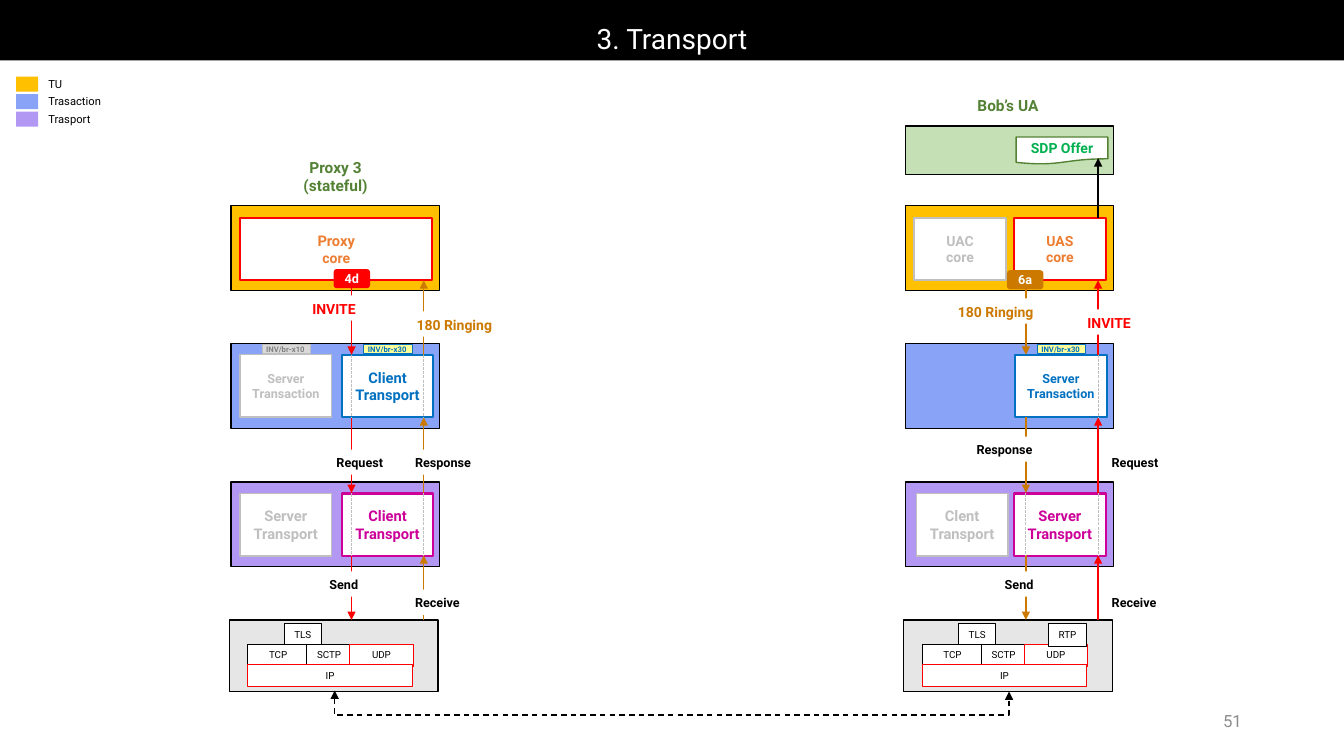
from lxml import etree
from pptx import Presentation
from pptx.dml.color import RGBColor
from pptx.enum.dml import MSO_LINE
from pptx.enum.shapes import MSO_CONNECTOR, MSO_SHAPE
from pptx.enum.text import MSO_ANCHOR, PP_ALIGN
from pptx.oxml.ns import qn
from pptx.util import Pt

RECTANGLE, ROUNDED = MSO_SHAPE.RECTANGLE, MSO_SHAPE.ROUNDED_RECTANGLE
DOCUMENT = MSO_SHAPE.FLOWCHART_DOCUMENT
STRAIGHT, ELBOW = MSO_CONNECTOR.STRAIGHT, MSO_CONNECTOR.ELBOW
DASH, DOTS = MSO_LINE.DASH, MSO_LINE.SQUARE_DOT
TOP, MIDDLE, BOTTOM = MSO_ANCHOR.TOP, MSO_ANCHOR.MIDDLE, MSO_ANCHOR.BOTTOM
LEFT, CENTER, RIGHT, JUSTIFY = PP_ALIGN.LEFT, PP_ALIGN.CENTER, PP_ALIGN.RIGHT, PP_ALIGN.JUSTIFY

FONT = "Roboto"
COLORS = {
    "black": "000000", "white": "FFFFFF", "number": "8C8C8C", "muted": "BFBFBF",
    "tu": "FFC000", "transaction": "89A3F7", "transport": "B298F2", "network": "E7E6E6",
    "app": "C5E0B4", "green": "548235", "offer": "00B050", "red": "FF0000",
    "brown": "CC7900", "orange": "ED7D31", "blue": "0070C0", "magenta": "CC0099",
    "yellow": "FFFF99", "tag": "D9D9D9", "tag text": "808080",
}

# Left edges of the two stacks and the rows they share
PROXY, BOB = 164.9, 646.6
PANEL_TOP, PANEL_STEP, PANEL_WIDTH = 146.9, 98.65, 149
BOX_WIDTH, BOX_HEIGHT = 65.5, 44.6
BOX_TOPS = {"tu": 155.5, "transaction": 253.4, "transport": 352.5}
GAPS = [(200.2, 253.4), (298.1, 352.1), (396.7, 442.8)]
DOWN, UP = 86.2, 137.8


def rgb(color):
    return RGBColor.from_string(COLORS[color])


def write(shape, lines, size, color, bold=False, align=CENTER, anchor=MIDDLE, wrap=True):
    frame = shape.text_frame
    frame.text = lines
    frame.word_wrap = wrap
    frame.vertical_anchor = anchor
    for paragraph in frame.paragraphs:
        paragraph.alignment = align
        font = paragraph.font
        font.name, font.size, font.bold = FONT, Pt(size), bold
        font.color.rgb = rgb(color)


def add_box(slide, x, y, width, height, fill, line=None, weight=1, kind=RECTANGLE):
    shape = slide.shapes.add_shape(kind, Pt(x), Pt(y), Pt(width), Pt(height))
    shape.shadow.inherit = False
    shape.fill.solid()
    shape.fill.fore_color.rgb = rgb(fill)
    if line:
        shape.line.color.rgb = rgb(line)
        shape.line.width = Pt(weight)
    else:
        shape.line.fill.background()
    return shape


def add_text(slide, x, y, width, height, lines, size, color, **style):
    write(slide.shapes.add_textbox(Pt(x), Pt(y), Pt(width), Pt(height)), lines, size, color, **style)


def add_core(slide, x, row, lines, color, line, size=10.5, width=BOX_WIDTH, weight=1.5):
    box = add_box(slide, x, BOX_TOPS[row], width, BOX_HEIGHT, "white", line, weight)
    write(box, lines, size, color, bold=True)
    return box


def add_label(slide, x, y, width, text, color="black", size=9, align=LEFT):
    label = add_box(slide, x, y, width, 18, "white")
    write(label, text, size, color, bold=True, align=align, anchor=TOP, wrap=False)


def add_tag(slide, x, text, fill, line, color):
    tag = add_box(slide, x, 246.2, 34.6, 6.5, fill, line, 0.75)
    write(tag, text, 5.5, color, bold=True, align=JUSTIFY)
    frame = tag.text_frame
    frame.margin_left = frame.margin_right = Pt(2.88)
    frame.margin_top = frame.margin_bottom = 0


def add_badge(slide, x, y, text, fill):
    write(add_box(slide, x, y, 26, 13.7, fill, kind=ROUNDED), text, 9, "white", bold=True, wrap=False)


def add_line(slide, x1, y1, x2, y2, color, weight=1, dash=None, ends=(), kind=STRAIGHT):
    connector = slide.shapes.add_connector(kind, Pt(x1), Pt(y1), Pt(x2), Pt(y2))
    connector.line.color.rgb = rgb(color)
    connector.line.width = Pt(weight)
    if dash:
        connector.line.dash_style = dash
    properties = connector._element.spPr
    outline = properties.find(qn("a:ln"))
    for end in ends:
        etree.SubElement(outline, qn(f"a:{end}"), type="triangle")
    etree.SubElement(properties, qn("a:effectLst"))
    return connector


def add_network_link(slide, x1, x2, y, drop):
    # A thin elbow turned by 270 degrees, so that it leaves both ends downwards
    thickness, center, half = 0.72, (x1 + x2) / 2, (x2 - x1) / 2
    link = add_line(slide, center + thickness / 2, y - half, center - thickness / 2, y + half,
                    "black", dash=DASH, ends=("headEnd", "tailEnd"), kind=ELBOW)
    properties = link._element.spPr
    properties.find(qn("a:xfrm")).set("rot", str(270 * 60000))
    guides = properties.find(qn("a:prstGeom")).find(qn("a:avLst"))
    etree.SubElement(guides, qn("a:gd"), name="adj1", fmla=f"val {round(drop / thickness * 100000)}")


def add_panels(slide, x):
    for row, layer in enumerate(("tu", "transaction", "transport")):
        add_box(slide, x, PANEL_TOP + row * PANEL_STEP, PANEL_WIDTH, 60.5, layer, "black")
    add_box(slide, x - 1.1, PANEL_TOP + 3 * PANEL_STEP, PANEL_WIDTH, 51.1, "network", "black")


def add_protocols(slide, x, extra=()):
    protocols = [("TLS", 38.1, 0, 26.6, "black"), ("TCP", 12.2, 1, 43.2, "black"),
                 ("SCTP", 54.4, 1, 31.7, "black"), ("UDP", 84.9, 1, 45.4, "red"),
                 ("IP", 12.2, 2, 117.4, "red"), *extra]
    for name, offset, row, width, line in protocols:
        box = add_box(slide, x + offset, 445.7 + 14.4 * row, width, 15.8, "white", line, 0.75)
        write(box, name, 7, "black", anchor=TOP, wrap=False)


def add_flows(slide, x, down, up, crossed):
    for top, bottom in GAPS:
        add_line(slide, x + DOWN, bottom, x + DOWN, top, down, ends=("headEnd",))
        add_line(slide, x + UP, top, x + UP, bottom, up, ends=("headEnd",))
    for offset, row in crossed:
        top = BOX_TOPS[row]
        add_line(slide, x + offset, top, x + offset, top + BOX_HEIGHT, "muted", 0.75, DOTS)


def add_proxy(slide):
    add_text(slide, 206.6, 109.4, 66.2, 33.8, "Proxy 3\n(stateful)", 11, "green", bold=True, anchor=TOP)
    add_panels(slide, PROXY)
    core = add_core(slide, 171.4, "tu", "Proxy\ncore", "orange", "red", width=137.5)
    core.text_frame.paragraphs[1].font.size = Pt(10)
    add_core(slide, 171.4, "transaction", "Server\nTransaction", "muted", "muted", 9, weight=1)
    add_core(slide, 244.1, "transaction", "Client\nTransport", "blue", "blue")
    add_core(slide, 171.4, "transport", "Server\nTransport", "muted", "muted", weight=1)
    add_core(slide, 244.1, "transport", "Client\nTransport", "magenta", "magenta")
    add_protocols(slide, PROXY)
    add_tag(slide, 187.2, "INV/br-x10", "tag", "muted", "tag text")
    add_tag(slide, 259.9, "INV/br-x30", "yellow", "blue", "blue")
    add_flows(slide, PROXY, "red", "brown",
              [(offset, row) for offset in (DOWN, UP) for row in ("transaction", "transport")])
    add_label(slide, 216, 211, 46.1, "INVITE", "red", 10)
    add_label(slide, 289.4, 222.5, 69.1, "180 Ringing", "brown", 10, RIGHT)
    add_label(slide, 233.3, 321.1, 48.2, "Request")
    add_label(slide, 289.4, 321.1, 54.7, "Response")
    add_label(slide, 228.2, 408.2, 35.3, "Send")
    add_label(slide, 289.4, 421.2, 46.8, "Receive")
    add_badge(slide, 238.3, 192.2, "4d", "red")


def add_bob(slide):
    add_text(slide, 686.9, 64.8, 66.2, 20.9, "Bob’s UA", 11, "green", bold=True, anchor=TOP)
    add_box(slide, BOB, 90, PANEL_WIDTH, 34.6, "app", "black")
    offer = add_box(slide, 725.8, 97.9, 65.5, 19.4, "white", "green", kind=DOCUMENT)
    write(offer, "SDP Offer", 10, "offer", bold=True)
    add_panels(slide, BOB)
    add_core(slide, 653, "tu", "UAC\ncore", "muted", "muted", 10)
    add_core(slide, 724.3, "tu", "UAS\ncore", "orange", "red", 10)
    add_core(slide, 725, "transaction", "Server\nTransaction", "blue", "blue", 9)
    add_core(slide, 654.5, "transport", "Clent\nTransport", "muted", "muted", weight=1)
    add_core(slide, 724.3, "transport", "Server\nTransport", "magenta", "magenta")
    add_protocols(slide, BOB, [("RTP", 102.2, 0, 27.4, "black")])
    add_tag(slide, 740.9, "INV/br-x30", "yellow", "blue", "blue")
    add_flows(slide, BOB, "brown", "red", [(UP, "transaction"), (DOWN, "transport"), (UP, "transport")])
    add_label(slide, 676.1, 213.1, 69.1, "180 Ringing", "brown", 10, RIGHT)
    add_label(slide, 769.7, 221, 46.1, "INVITE", "red", 10)
    add_label(slide, 690.5, 311.8, 54.7, "Response")
    add_label(slide, 787, 321.1, 48.2, "Request")
    add_label(slide, 710.6, 408.2, 35.3, "Send")
    add_label(slide, 787, 421.2, 46.8, "Receive")
    add_badge(slide, 719.3, 193, "6a", "brown")
    add_line(slide, BOB + UP, 113, BOB + UP, 155.5, "black", ends=("headEnd",))


def main():
    presentation = Presentation()
    presentation.slide_width, presentation.slide_height = Pt(960), Pt(540)
    slide = presentation.slides.add_slide(presentation.slide_layouts[6])

    # Title bar and slide number
    title = add_box(slide, 0, 0, 960, 43.2, "black")
    write(title, "3. Transport", 20, "white", anchor=BOTTOM)
    title.text_frame.paragraphs[0].line_spacing = 0.9
    add_text(slide, 678.2, 500.4, 216, 28.8, "51", 12, "number", align=RIGHT)

    # Legend
    legend = [("TU", "tu", 24.5), ("Trasaction", "transaction", 53.3), ("Trasport", "transport", 45.4)]
    for row, (name, color, width) in enumerate(legend):
        y = 54.7 + 12.5 * row
        add_box(slide, 11.5, y, 15.8, 10.8, color)
        add_text(slide, 27.4, y - 3, width, 17.3, name, 8, "black", align=LEFT, anchor=TOP, wrap=False)

    # Protocol stacks and the network between them
    add_proxy(slide)
    add_bob(slide)
    add_network_link(slide, 239, 720.7, 493.6, 17.8)

    presentation.save("out.pptx")


if __name__ == "__main__":
    main()
